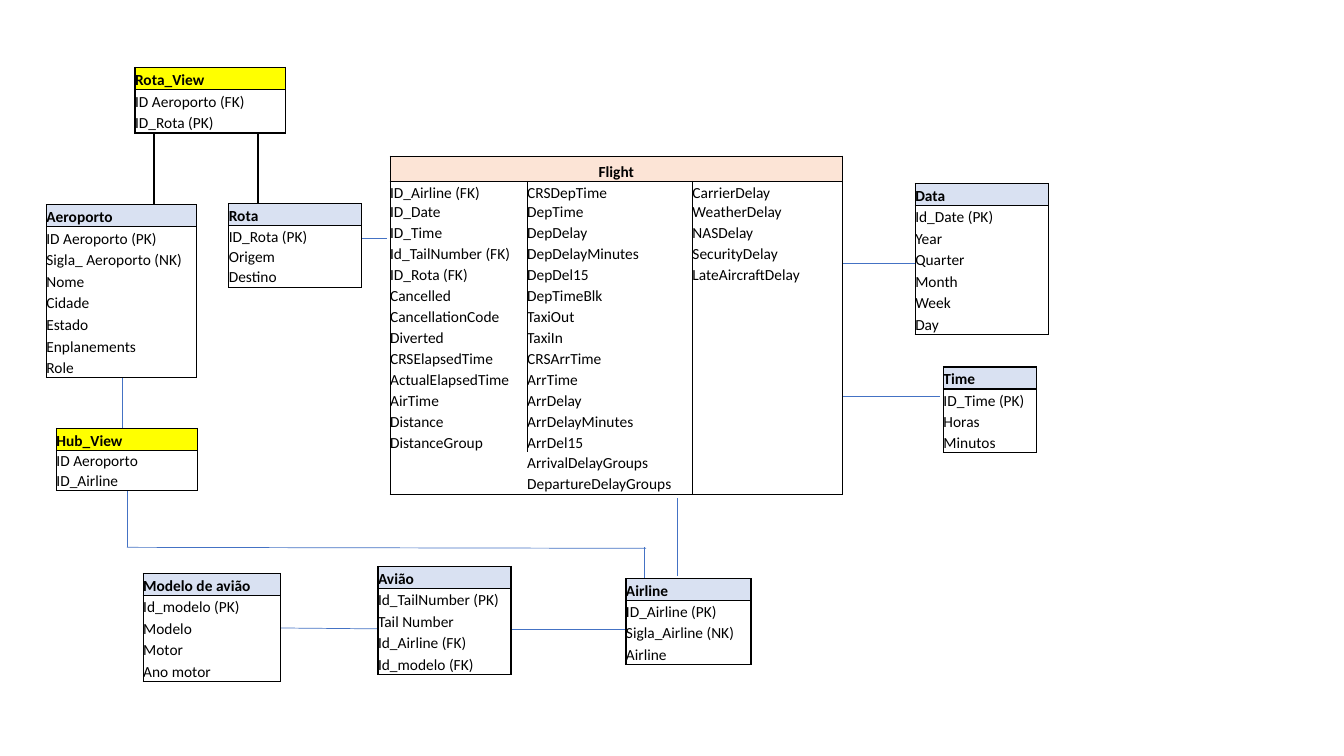
from dataclasses import dataclass
from itertools import zip_longest

from lxml.etree import SubElement
from pptx import Presentation
from pptx.dml.color import RGBColor
from pptx.enum.shapes import MSO_CONNECTOR
from pptx.enum.text import MSO_ANCHOR, PP_ALIGN
from pptx.oxml.ns import qn
from pptx.util import Inches, Pt


@dataclass(frozen=True)
class Theme:
    """Colours, type and line widths of the data model."""

    font: str = "Calibri"
    size: float = 11
    black: str = "000000"
    white: str = "FFFFFF"
    view: str = "FFFF00"
    dimension: str = "D9E1F2"
    fact: str = "FCE4D6"
    link: str = "4472C4"
    thin: float = 0.5
    border: float = 1
    thick: float = 1.5


THEME = Theme()
COLUMNS, ROWS = 133.33, 75
HEADER_HEIGHT = 2.2
NO_STYLE = "{2D5ABB26-0587-4C30-8999-92F81FD0307C}"

ENTITIES = [
    ("Hub_View", THEME.view, (5.6, 42.5, 14, 6.2), ["ID Aeroporto", "ID_Airline"]),
    ("Modelo de avião", THEME.dimension, (14.2, 56.9, 13.6, 10.7),
     ["Id_modelo (PK)", "Modelo", "Motor", "Ano motor"]),
    ("Aeroporto", THEME.dimension, (4.6, 20.3, 14.9, 17.2),
     ["ID Aeroporto (PK)", "Sigla_ Aeroporto (NK)", "Nome", "Cidade", "Estado",
      "Enplanements", "Role"]),
    ("Data", THEME.dimension, (90.8, 18.2, 13.2, 15),
     ["Id_Date (PK)", "Year", "Quarter", "Month", "Week", "Day"]),
    ("Airline", THEME.dimension, (62.1, 57.4, 12.4, 8.5),
     ["ID_Airline (PK)", "Sigla_Airline (NK)", "Airline"]),
    ("Time", THEME.dimension, (93.6, 36.4, 9.2, 8.5),
     ["ID_Time (PK)", "Horas", "Minutos"]),
    ("Avião", THEME.dimension, (37.5, 56.2, 13.2, 10.7),
     ["Id_TailNumber (PK)", "Tail Number", "Id_Airline (FK)", "Id_modelo (FK)"]),
    ("Rota", THEME.dimension, (22.7, 20.2, 13.2, 8.3),
     ["ID_Rota (PK)", "Origem", "Destino"]),
    ("Rota_View", THEME.view, (13.4, 6.7, 14.9, 6.5),
     ["ID Aeroporto (FK)", "ID_Rota (PK)"]),
]

FLIGHT_COLUMNS = [
    ["ID_Airline (FK)", "ID_Date", "ID_Time", "Id_TailNumber (FK)", "ID_Rota (FK)",
     "Cancelled", "CancellationCode", "Diverted", "CRSElapsedTime",
     "ActualElapsedTime", "AirTime", "Distance", "DistanceGroup"],
    ["CRSDepTime", "DepTime", "DepDelay", "DepDelayMinutes", "DepDel15", "DepTimeBlk",
     "TaxiOut", "TaxiIn", "CRSArrTime", "ArrTime", "ArrDelay", "ArrDelayMinutes",
     "ArrDel15", "ArrivalDelayGroups", "DepartureDelayGroups"],
    ["CarrierDelay", "WeatherDelay", "NASDelay", "SecurityDelay", "LateAircraftDelay"],
]

LINKS = [
    (67.2, 57.1, 67.2, 49.4),
    (48.7, 62.4, 62.7, 62.4),
    (27.8, 62.3, 38.7, 62.4),
    (83, 26.1, 90.8, 26.1),
    (83, 39.3, 93.3, 39.3),
    (12.1, 36.8, 12.1, 42.5),
    (12.6, 48.6, 12.6, 54.3),
    (12.6, 54.3, 64.1, 54.4),
    (63.9, 54.3, 63.9, 57.3),
    (35.9, 23.6, 38.4, 23.6),
]
VIEW_LINKS = [(25.6, 20.2, 25.6, 13.1), (15.3, 20.2, 15.3, 13.1)]


def grid(units):
    """Turn grid units, a tenth of an inch each, into a length."""
    return Inches(units / 10)


def add_link(slide, ends, color, width):
    """Join two grid points with a straight connector."""
    line = slide.shapes.add_connector(MSO_CONNECTOR.STRAIGHT, *map(grid, ends))
    line.line.color.rgb = RGBColor.from_string(color)
    line.line.width = Pt(width)
    SubElement(line._element.spPr, qn("a:effectLst"))


def set_borders(cell, widths):
    """Draw the cell sides named in widths and clear the others."""
    properties = cell._tc.get_or_add_tcPr()
    for side in "LRTB":
        width = widths.get(side, 0)
        line = SubElement(properties, qn(f"a:ln{side}"), w=str(int(Pt(width))))
        if width:
            fill = SubElement(line, qn("a:solidFill"))
            SubElement(fill, qn("a:srgbClr"), val=THEME.black)
        else:
            SubElement(line, qn("a:noFill"))


def fill_cell(cell, text, color, borders, bold=False, align=PP_ALIGN.LEFT):
    """Write one field name and dress its cell."""
    cell.margin_left = cell.margin_right = cell.margin_top = cell.margin_bottom = 0
    cell.vertical_anchor = MSO_ANCHOR.BOTTOM
    set_borders(cell, borders)
    cell.fill.solid()
    cell.fill.fore_color.rgb = RGBColor.from_string(color)
    paragraph = cell.text_frame.paragraphs[0]
    paragraph.text = text
    paragraph.alignment = align
    for run in paragraph.runs:
        run.font.name = THEME.font
        run.font.size = Pt(THEME.size)
        run.font.bold = bold
        run.font.color.rgb = RGBColor.from_string(THEME.black)
    if not text:
        end = paragraph._p.get_or_add_endParaRPr()
        end.set("sz", str(int(THEME.size * 100)))


def add_table(slide, left, top, widths, heights):
    """Add an unstyled table with the given column widths and row heights."""
    frame = slide.shapes.add_table(
        len(heights), len(widths), grid(left), grid(top),
        grid(sum(widths)), grid(sum(heights)))
    table = frame.table
    table.first_row = table.horz_banding = False
    table._tbl.tblPr.find(qn("a:tableStyleId")).text = NO_STYLE
    for column, width in zip(table.columns, widths):
        column.width = grid(width)
    for row, height in zip(table.rows, heights):
        row.height = grid(height)
    return table


def box_borders(*sides):
    """Give the named sides the regular border width."""
    return dict.fromkeys(sides, THEME.border)


def add_entity(slide, name, color, box, fields):
    """Add a one-column table: a coloured name above its fields."""
    left, top, width, height = box
    field_height = (height - HEADER_HEIGHT) / len(fields)
    heights = [HEADER_HEIGHT] + [field_height] * len(fields)
    table = add_table(slide, left, top, [width], heights)
    fill_cell(table.cell(0, 0), name, color, box_borders(*"LRTB"), bold=True)
    for row, field in enumerate(fields, 1):
        sides = "LR" + "T" * (row == 1) + "B" * (row == len(fields))
        fill_cell(table.cell(row, 0), field, THEME.white, box_borders(*sides))


def add_flight(slide):
    """Add the fact table: a merged title above three columns of fields."""
    records = list(zip_longest(*FLIGHT_COLUMNS, fillvalue=""))
    heights = [2.5, 2.1, 1.9] + [2.08] * (len(records) - 2)
    table = add_table(slide, 38.7, 15.5, [13.6, 16.4, 14.9], heights)
    table.cell(0, 0).merge(table.cell(0, 2))
    for column in range(3):
        fill_cell(table.cell(0, column), "" if column else "Flight", THEME.fact,
                  box_borders(*"LRTB"), bold=True, align=PP_ALIGN.CENTER)
    for row, record in enumerate(records, 1):
        ends = "T" * (row == 1) + "B" * (row == len(records))
        first_divider = THEME.thin if record[0] else 0
        dividers = [THEME.border, first_divider, THEME.thin, THEME.border]
        for column, field in enumerate(record):
            sides = {"L": dividers[column], "R": dividers[column + 1]}
            fill_cell(table.cell(row, column), field, THEME.white,
                      sides | box_borders(*ends))


def main():
    """Build the flight data model and save it."""
    presentation = Presentation()
    presentation.slide_width = grid(COLUMNS)
    presentation.slide_height = grid(ROWS)
    slide = presentation.slides.add_slide(presentation.slide_layouts[6])
    for ends in LINKS:
        add_link(slide, ends, THEME.link, THEME.thin)
    for ends in VIEW_LINKS:
        add_link(slide, ends, THEME.black, THEME.thick)
    add_flight(slide)
    for entity in ENTITIES:
        add_entity(slide, *entity)
    presentation.save("out.pptx")


main()
